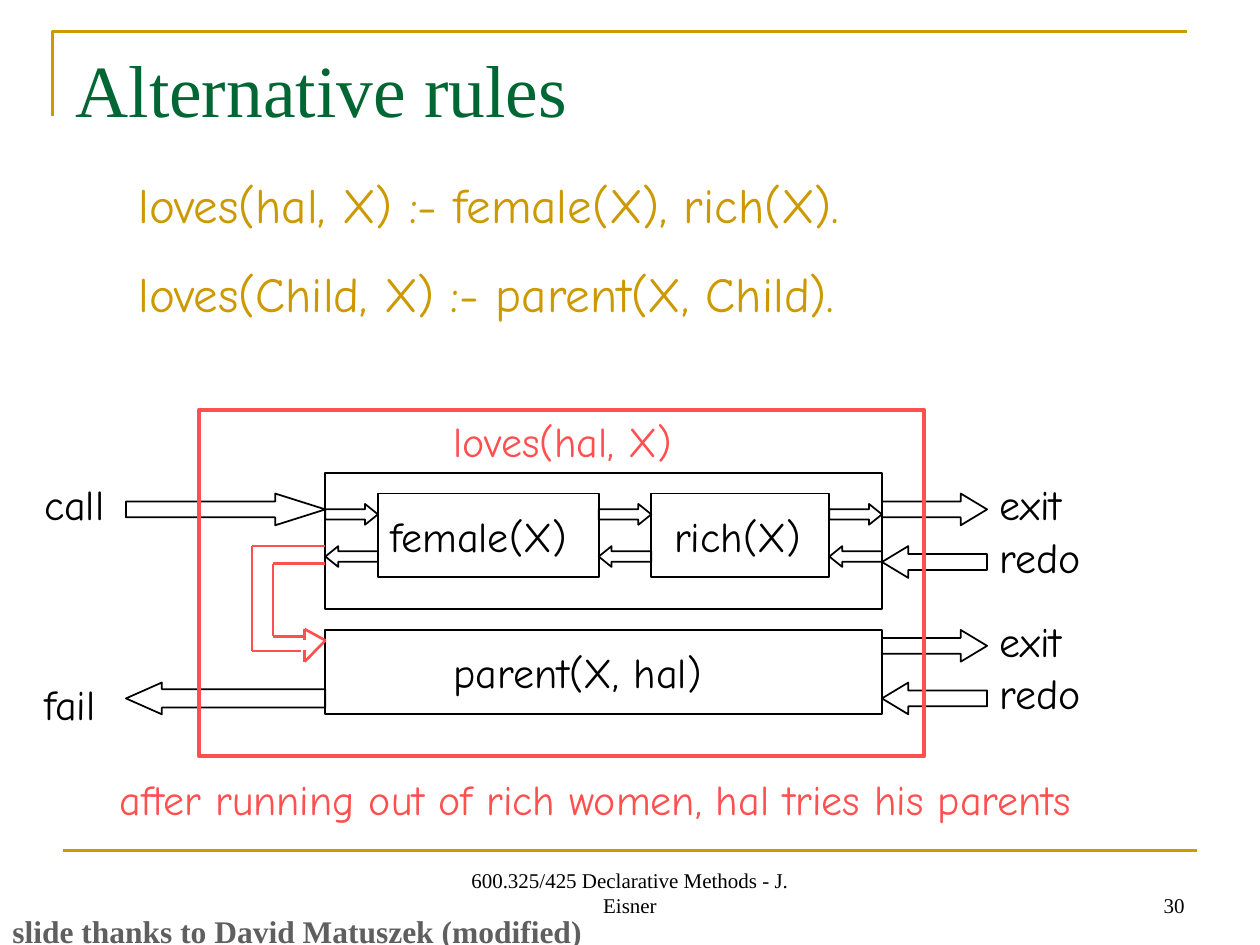
from itertools import pairwise

from lxml import etree
from pptx import Presentation
from pptx.dml.color import RGBColor
from pptx.enum.shapes import MSO_CONNECTOR, MSO_SHAPE
from pptx.enum.text import MSO_ANCHOR, MSO_AUTO_SIZE, PP_ALIGN
from pptx.oxml.ns import qn
from pptx.util import Cm, Pt

LINE = MSO_CONNECTOR.STRAIGHT
RECT = MSO_SHAPE.RECTANGLE
EAST = MSO_SHAPE.RIGHT_ARROW
WEST = MSO_SHAPE.LEFT_ARROW
TOP = MSO_ANCHOR.TOP
BOTTOM = MSO_ANCHOR.BOTTOM
LEFT = PP_ALIGN.LEFT
MID = PP_ALIGN.CENTER
RIGHT = PP_ALIGN.RIGHT
FIXED = MSO_AUTO_SIZE.NONE

BLACK = RGBColor(0x00, 0x00, 0x00)
GOLD = RGBColor(0xCC, 0x99, 0x00)
GREEN = RGBColor(0x00, 0x66, 0x33)
RED = RGBColor(0xFF, 0x50, 0x50)
GRAY = RGBColor(0x5F, 0x5F, 0x5F)


class Deck:
    serif = "Times New Roman"
    hand = "Comic Neue"

    def __init__(self):
        self.prs = Presentation()
        self.prs.slide_width = Cm(25.4)
        self.prs.slide_height = Cm(19.05)
        self.slide = self.prs.slides.add_slide(self.prs.slide_layouts[5])
        self.shapes = self.slide.shapes

    def fill_text(self, box, text, size, color, font, align=LEFT, anchor=TOP, gap=0, bold=False):
        frame = box.text_frame
        frame.text = text
        frame.word_wrap = True
        frame.auto_size = FIXED
        frame.vertical_anchor = anchor
        for index, para in enumerate(frame.paragraphs):
            para.alignment = align
            para.space_before = Pt(gap if index else 0)
            for run in para.runs:
                run.font.name = font
                run.font.size = Pt(size)
                run.font.bold = bold
                run.font.color.rgb = color

    def title(self, text, x, y, w, h):
        box = self.shapes.title
        box.left, box.top, box.width, box.height = Cm(x), Cm(y), Cm(w), Cm(h)
        self.fill_text(box, text, 42, GREEN, self.serif)

    def text(self, text, x, y, w, h, size=24, color=BLACK, font=hand, **style):
        box = self.shapes.add_textbox(Cm(x), Cm(y), Cm(w), Cm(h))
        self.fill_text(box, text, size, color, font, **style)

    def stroke(self, shape, color, width):
        shape.fill.background()
        shape.shadow.inherit = False
        shape.line.color.rgb = color
        shape.line.width = Pt(width)

    def box(self, x, y, w, h, color=BLACK, width=1):
        shape = self.shapes.add_shape(RECT, Cm(x), Cm(y), Cm(w), Cm(h))
        self.stroke(shape, color, width)

    def arrow(self, kind, x, y, w, h, head, shaft=0.5):
        shape = self.shapes.add_shape(kind, Cm(x), Cm(y), Cm(w), Cm(h))
        shape.adjustments[0] = shaft
        shape.adjustments[1] = head
        self.stroke(shape, BLACK, 1)

    def lines(self, color, *points):
        for (x1, y1), (x2, y2) in pairwise(points):
            line = self.shapes.add_connector(LINE, Cm(x1), Cm(y1), Cm(x2), Cm(y2))
            line.line.color.rgb = color
            line.line.width = Pt(1.5)
            etree.SubElement(line._element.spPr, qn("a:effectLst"))

    def bracket(self, color, *points):
        spots = [(Cm(x), Cm(y)) for x, y in points]
        form = self.shapes.build_freeform(*spots[0])
        form.add_line_segments(spots[1:], close=False)
        self.stroke(form.convert_to_shape(), color, 1.5)


def main():
    deck = Deck()
    deck.bracket(GOLD, (1.06, 2.33), (1.06, 0.64), (23.92, 0.64))
    deck.lines(GOLD, (1.27, 17.15), (24.13, 17.15))
    deck.text("600.325/425 Declarative Methods - J. Eisner", 8.68, 17.36, 8.04, 1.27,
              size=12, font=deck.serif, align=MID, anchor=BOTTOM)
    deck.text("30", 18.2, 17.36, 5.93, 1.27,
              size=12, font=deck.serif, align=RIGHT, anchor=BOTTOM)
    deck.title("Alternative rules", 1.27, 0.76, 22.86, 3.18)
    deck.text("loves(hal, X) :- female(X), rich(X).\nloves(Child, X) :- parent(X, Child).",
              2.54, 3.39, 21.38, 3.25, size=28, color=GOLD, gap=17.5)
    deck.text("loves(hal, X)", 8.89, 8.26, 6.77, 1.27, color=RED)

    deck.text("female(X)", 7.62, 10.16, 5.08, 1.27)
    deck.box(7.62, 9.95, 4.45, 1.69)
    deck.text("rich(X)", 13.34, 10.16, 4.23, 1.27)
    deck.box(13.12, 9.95, 3.6, 1.69)
    for x in (6.56, 12.07, 16.72):
        deck.arrow(EAST, x, 10.16, 1.06, 0.42, 0.62)
        deck.arrow(WEST, x, 11.01, 1.06, 0.42, 0.62)
    deck.box(6.56, 9.53, 11.22, 2.75)
    deck.text("parent(X, hal)", 8.89, 12.91, 6.77, 1.27)
    deck.box(6.56, 12.7, 11.22, 1.69)

    deck.arrow(EAST, 2.54, 9.95, 4.02, 0.64, 1.58)
    deck.text("call", 0.64, 9.53, 2.54, 1.27)
    deck.arrow(WEST, 2.54, 13.76, 4.02, 0.64, 1.13, shaft=0.58)
    deck.text("fail", 0.64, 13.55, 2.12, 1.27)
    for drop in (0, 2.75):
        deck.arrow(EAST, 17.78, 9.95 + drop, 2.12, 0.64, 0.83)
        deck.text("exit", 19.9, 9.53 + drop, 3.39, 1.27)
        deck.arrow(WEST, 17.78, 11.01 + drop, 2.12, 0.64, 0.83)
        deck.text("redo", 19.9, 10.58 + drop, 2.33, 1.27)

    deck.lines(RED, (6.56, 11.01), (5.08, 11.01), (5.08, 13.12), (6.07, 13.12))
    deck.lines(RED, (6.56, 11.36), (5.5, 11.36), (5.5, 12.83), (6.14, 12.83))
    deck.lines(RED, (6.14, 13.11), (6.14, 13.34), (6.56, 12.91), (6.14, 12.68), (6.14, 12.91))
    deck.box(4.02, 8.26, 14.61, 6.99, RED, 2.25)
    deck.text("after running out of rich women, hal tries his parents",
              2.16, 15.47, 19.76, 1.27, color=RED)
    deck.text("slide thanks to David Matuszek (modified)", 0, 18.63, 21.17, 0.64,
              size=18, color=GRAY, font=deck.serif, anchor=BOTTOM, bold=True)
    deck.prs.save("out.pptx")


if __name__ == "__main__":
    main()
